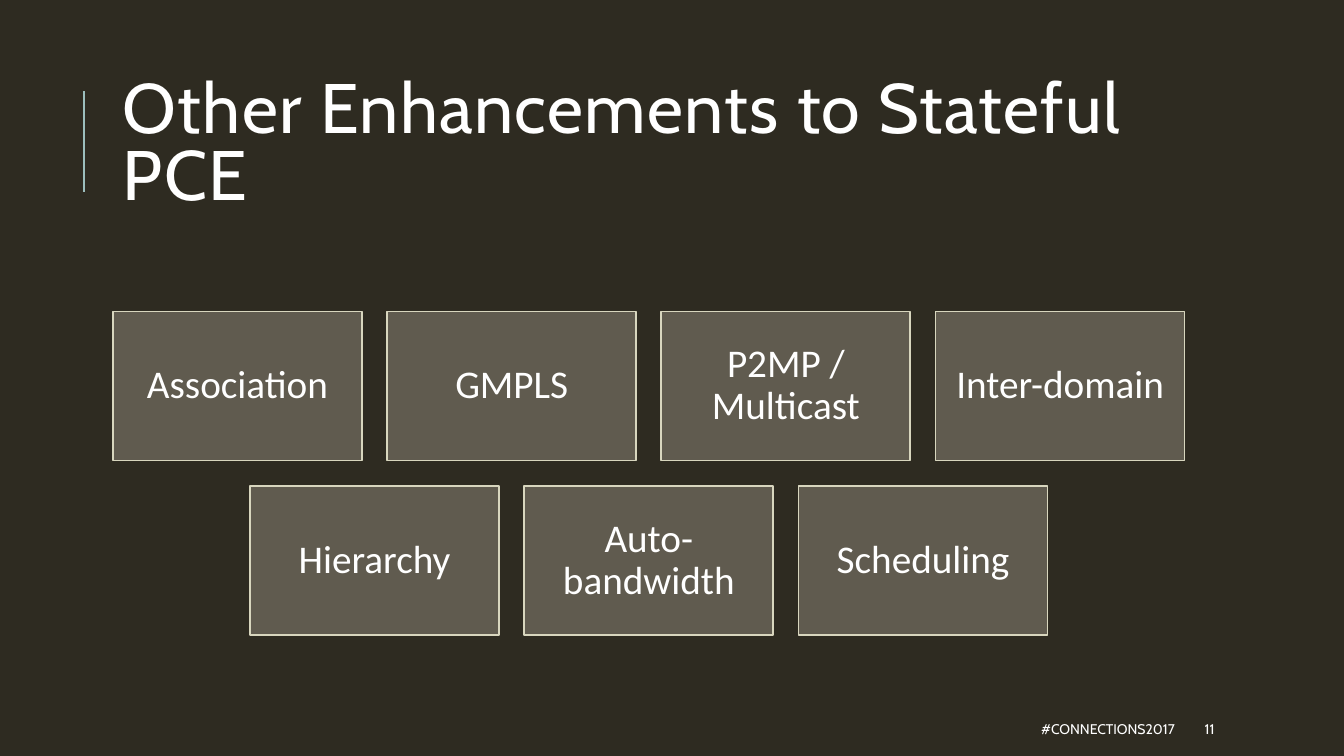
"""Builds the slide on other enhancements to Stateful PCE."""
from dataclasses import dataclass

from lxml import etree
from pptx import Presentation, util as u
from pptx.dml.color import RGBColor
from pptx.enum import shapes, text
from pptx.oxml.ns import qn


@dataclass(frozen=True)
class Theme:
    background: str = "2E2B21"
    card: str = "605B4F"
    border: str = "D8D6BE"
    accent: str = "9CBEBD"
    ink: str = "FFFFFF"
    heading_font: str = "Cabin"
    card_font: str = "Calibri"
    title_size: int = 50
    card_size: int = 28
    footer_size: int = 10


THEME = Theme()
CONTENT_LEFT, CONTENT_WIDTH = 1.12, 10.63
CARD_WIDTH, CARD_HEIGHT, CARD_GAP = 2.47, 1.48, 0.25
CARDS_TOP = 3.09
CARD_ROWS = [
    ["Association", "GMPLS", "P2MP / Multicast", "Inter-domain"],
    ["Hierarchy", "Auto-bandwidth", "Scheduling"],
]


def color(value):
    return RGBColor.from_string(value)


def write(box, words, font, size, align=text.PP_ALIGN.LEFT, spacing=1.0):
    frame = box.text_frame
    frame.text = words
    frame.word_wrap = True
    frame.vertical_anchor = text.MSO_ANCHOR.MIDDLE
    para = frame.paragraphs[0]
    para.alignment = align
    para.line_spacing = spacing
    span = para.runs[0]
    span.font.name = font
    span.font.size = u.Pt(size)
    span.font.color.rgb = color(THEME.ink)
    return span


def add_label(page, place, words, size, **layout):
    box = page.shapes.add_textbox(*map(u.Inches, place))
    return write(box, words, THEME.heading_font, size, **layout)


def add_title(page, words):
    place = (CONTENT_LEFT, 0.64, CONTENT_WIDTH, 1.64)
    span = add_label(page, place, words, THEME.title_size, spacing=0.8)
    span.font._element.set("spc", "100")


def add_accent_line(page):
    ends = map(u.Inches, (0.83, 1.9, 0.83, 0.9))
    line = page.shapes.add_connector(shapes.MSO_CONNECTOR.STRAIGHT, *ends)
    line.line.color.rgb = color(THEME.accent)
    line.line.width = u.Pt(1.5)
    etree.SubElement(line._element.spPr, qn("a:effectLst"))


def add_card(page, left, top, words):
    place = map(u.Inches, (left, top, CARD_WIDTH, CARD_HEIGHT))
    card = page.shapes.add_shape(shapes.MSO_SHAPE.RECTANGLE, *place)
    card.shadow.inherit = False
    card.fill.solid()
    card.fill.fore_color.rgb = color(THEME.card)
    card.line.color.rgb = color(THEME.border)
    card.line.width = u.Pt(1.25)
    frame = card.text_frame
    frame.margin_left = frame.margin_right = u.Inches(0.12)
    frame.margin_top = frame.margin_bottom = u.Inches(0.12)
    write(card, words, THEME.card_font, THEME.card_size,
          align=text.PP_ALIGN.CENTER, spacing=0.9)


def add_card_rows(page):
    step = CARD_WIDTH + CARD_GAP
    for row, names in enumerate(CARD_ROWS):
        row_width = len(names) * step - CARD_GAP
        left = CONTENT_LEFT + (CONTENT_WIDTH - row_width) / 2
        top = CARDS_TOP + row * (CARD_HEIGHT + CARD_GAP)
        for column, name in enumerate(names):
            add_card(page, left + column * step, top, name)


def main():
    deck = Presentation()
    deck.slide_width, deck.slide_height = u.Inches(13.33), u.Inches(7.5)
    page = deck.slides.add_slide(deck.slide_layouts[6])
    page.background.fill.solid()
    page.background.fill.fore_color.rgb = color(THEME.background)
    add_accent_line(page)
    add_title(page, "Other Enhancements to Stateful PCE")
    add_card_rows(page)
    add_label(page, (5.3, 7.08, 6.45, 0.3), "#CONNECTIONS2017",
              THEME.footer_size, align=text.PP_ALIGN.RIGHT)
    add_label(page, (11.85, 7.08, 1.06, 0.3), "11", THEME.footer_size)
    deck.save("out.pptx")


if __name__ == "__main__":
    main()
